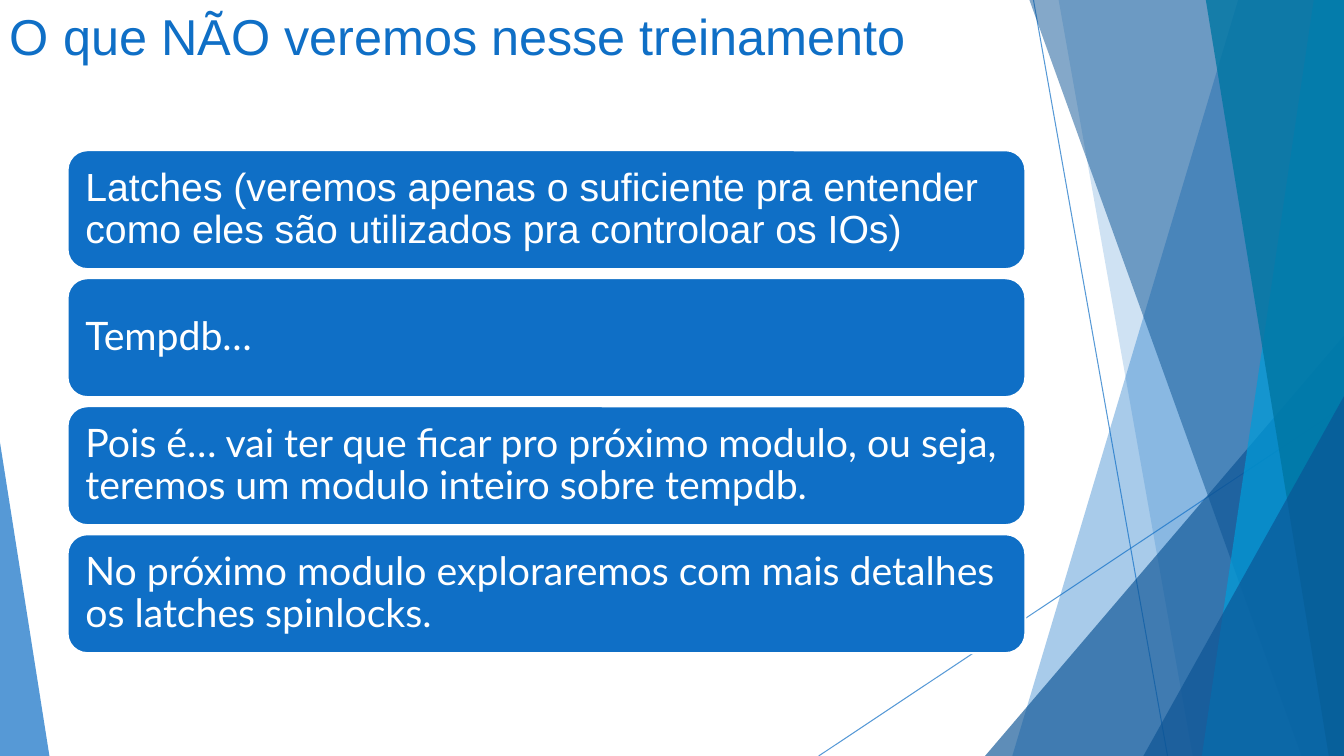
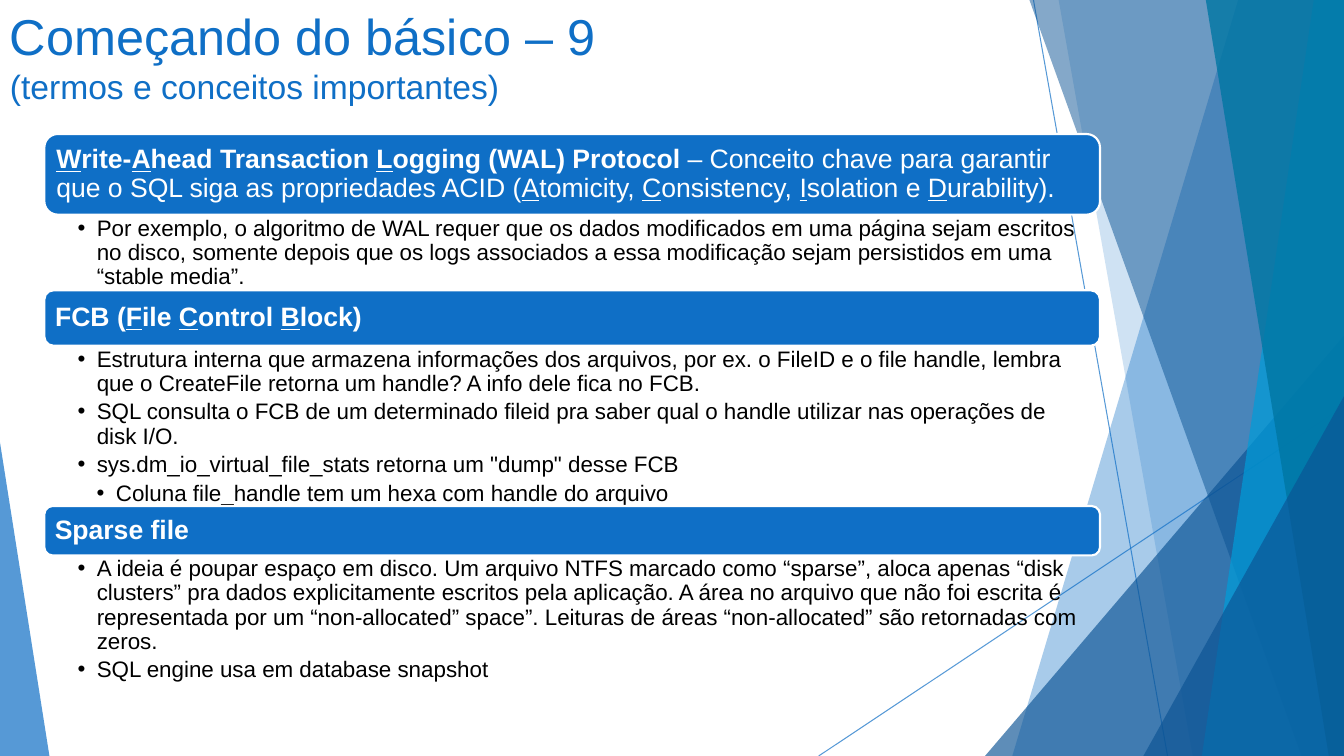
from lxml.etree import SubElement
from pptx import Presentation
from pptx.dml.color import RGBColor
from pptx.enum.shapes import MSO_CONNECTOR, MSO_SHAPE
from pptx.enum.text import MSO_ANCHOR, PP_ALIGN
from pptx.oxml.ns import qn
from pptx.util import Inches, Pt

WIDE, HIGH = 13.33, 7.5
HUES = {"blue": "0F6FC6", "navy": "0B5394", "sky": "009DD9",
        "teal": "0076A3", "white": "FFFFFF", "black": "000000"}

# Text formats
TITLE = {"size": Pt(36), "name": "Arial", "hue": "blue"}
SUB = {**TITLE, "size": Pt(24)}
CARD = {"size": Pt(28), "name": "Lato", "hue": "white"}
HEAD = {"size": Pt(19), "name": "Arial", "hue": "white"}
BODY = {"size": Pt(16), "name": "Arial", "hue": "black"}

# Backdrop, back to front
LINES = [(10.25, 0, 11.58, HIGH), (WIDE, 4.03, 8.12, HIGH)]
PANES = [  # slat: top x, bottom x; wedge: left, top, width, tip
    ("slat", (12.28, 10.04), "blue", 36),
    ("slat", (10.5, 11.83), "blue", 20),
    ("wedge", (9.77, 3.33, 3.56, 1), "navy", 66),
    ("slat", (10.21, 12.91), "navy", 50),
    ("slat", (13.03, 11.92), "sky", 70),
    ("slat", (11.96, 13.18), "teal", 80),
    ("wedge", (11.34, 3.93, 1.99, 1), "navy", 66),
    ("wedge", (0, 4.39, 0.49, 0), "blue", 70),
]

CARDS = [
    ("Latches (veremos apenas o suficiente pra entender como eles são "
     "utilizados pra controloar os IOs)", "Arial"),
    ("Tempdb…", "Lato"),
    ("Pois é… vai ter que ficar pro próximo modulo, ou seja, teremos um "
     "modulo inteiro sobre tempdb.", "Lato"),
    ("No próximo modulo exploraremos com mais detalhes os latches "
     "spinlocks.", "Lato"),
]

# Head height, head (* toggles bold, | toggles underline), body height, items
TERMS = [
    (0.8, "*|W|rite-|A|head Transaction |L|ogging (WAL) Protocol *– Conceito "
     "chave para garantir que o SQL siga as propriedades ACID (|A|tomicity, "
     "|C|onsistency, |I|solation e |D|urability).", 0.75, [
         (1, "Por exemplo, o algoritmo de WAL requer que os dados modificados "
          "em uma página sejam escritos no disco, somente depois que os logs "
          "associados a essa modificação sejam persistidos em uma "
          "“stable media”.")]),
    (0.55, "*FCB (|F|ile |C|ontrol |B|lock)", 1.59, [
        (1, "Estrutura interna que armazena informações dos arquivos, por ex. "
         "o FileID e o file handle, lembra que o CreateFile retorna um "
         "handle? A info dele fica no FCB."),
        (1, "SQL consulta o FCB de um determinado fileid pra saber qual o "
         "handle utilizar nas operações de disk I/O."),
        (1, 'sys.dm_io_virtual_file_stats retorna um "dump" desse FCB'),
        (2, "Coluna file_handle tem um hexa com handle do arquivo")]),
    (0.49, "*Sparse file", 1.25, [
        (1, "A ideia é poupar espaço em disco. Um arquivo NTFS marcado como "
         "“sparse”, aloca apenas “disk clusters” pra dados explicitamente "
         "escritos pela aplicação. A área no arquivo que não foi escrita é "
         "representada por um “non-allocated” space”. Leituras de áreas "
         "“non-allocated” são retornadas com zeros."),
        (1, "SQL engine usa em database snapshot")]),
]


def rgb(hue):
    return RGBColor.from_string(HUES[hue])


def assign(item, **vals):
    for key, val in vals.items():
        setattr(item, key, val)


def fade(part, alpha):
    """Give each colour under part an opacity in percent."""
    for tint in part.iter(qn("a:srgbClr")):
        SubElement(tint, qn("a:alpha"), val=str(alpha * 1000))


def write(para, text, form):
    """Add runs, switching bold at * and underline at |."""
    for i, piece in enumerate(text.split("*")):
        for j, bit in enumerate(piece.split("|")):
            if not bit:
                continue
            run = para.add_run()
            run.text = bit
            run.font.color.rgb = rgb(form["hue"])
            assign(run.font, size=form["size"], name=form["name"],
                   bold=i % 2 == 1, underline=j % 2 == 1)


def text_box(slide, box, pads):
    frame = slide.shapes.add_textbox(*map(Inches, box)).text_frame
    left, top, right, low = map(Inches, pads)
    assign(frame, word_wrap=True, margin_left=left, margin_top=top,
           margin_right=right, margin_bottom=low)
    return frame


def next_para(frame, index):
    return frame.add_paragraph() if index else frame.paragraphs[0]


def backdrop(slide):
    # Thin lines
    for x1, y1, x2, y2 in LINES:
        line = slide.shapes.add_connector(
            MSO_CONNECTOR.STRAIGHT, *map(Inches, (x1, y1, x2, y2)))
        line.line.color.rgb = rgb("blue")
        line.line.width = Pt(0.75)
        props = line.line._get_or_add_ln().getparent()
        fade(props, 70)
        SubElement(props, qn("a:effectLst"))
    # Clear panes
    for kind, dims, hue, alpha in PANES:
        if kind == "slat":
            top, low = dims
            pen = slide.shapes.build_freeform(Inches(top), 0)
            ends = [(WIDE, 0), (WIDE, HIGH), (low, HIGH)]
            pen.add_line_segments([(Inches(x), Inches(y)) for x, y in ends])
            pane = pen.convert_to_shape()
        else:
            left, top, wide, tip = dims
            pane = slide.shapes.add_shape(
                MSO_SHAPE.ISOSCELES_TRIANGLE,
                *map(Inches, (left, top, wide, HIGH - top)))
            pane.adjustments[0] = tip
        pane.shadow.inherit = False
        pane.fill.solid()
        pane.fill.fore_color.rgb = rgb(hue)
        fade(pane.element.spPr, alpha)
        pane.line.fill.background()


def title(slide, box, rows):
    frame = text_box(slide, box, (0.1, 0.05, 0.1, 0.05))
    for i, (text, form) in enumerate(rows):
        write(next_para(frame, i), text, form)


def plate(slide, box, text, form, pad):
    """Rounded blue bar with text in the middle."""
    bar = slide.shapes.add_shape(MSO_SHAPE.ROUNDED_RECTANGLE,
                                 *map(Inches, box))
    bar.shadow.inherit = False
    bar.fill.solid()
    bar.fill.fore_color.rgb = rgb("blue")
    bar.line.color.rgb = rgb("white")
    bar.line.width = Pt(1.5)
    frame = bar.text_frame
    assign(frame, word_wrap=True, vertical_anchor=MSO_ANCHOR.MIDDLE,
           **{f"margin_{side}": Inches(pad)
              for side in ("left", "top", "right", "bottom")})
    para = frame.paragraphs[0]
    assign(para, alignment=PP_ALIGN.LEFT, line_spacing=0.9)
    write(para, text, form)


def bullets(slide, box, items):
    frame = text_box(slide, box, (0.33, 0.02, 0.12, 0.02))
    for i, (level, text) in enumerate(items):
        para = next_para(frame, i)
        assign(para, level=level, line_spacing=0.9, space_after=Pt(3.2))
        props = para._p.get_or_add_pPr()
        props.set("marL", str(Inches(0.19 * level)))
        props.set("indent", str(Inches(-0.19)))
        SubElement(props, qn("a:buFont"), typeface="Arial")
        SubElement(props, qn("a:buChar"), char="•")
        write(para, text, BODY)


def card_list(slide, box):
    """Equal cards with equal gaps."""
    left, top, wide, high = box
    gap = 0.09
    each = (high + gap) / len(CARDS) - gap
    for i, (text, name) in enumerate(CARDS):
        spot = (left, top + i * (each + gap), wide, each)
        plate(slide, spot, text, {**CARD, "name": name}, 0.12)


def term_list(slide, box):
    """Heads and bullets stacked without gaps."""
    left, top, wide = box
    for tall, head, deep, items in TERMS:
        plate(slide, (left, top, wide, tall), head, HEAD, 0.08)
        bullets(slide, (left, top + tall, wide, deep), items)
        top += tall + deep


def main():
    deck = Presentation()
    assign(deck, slide_width=Inches(WIDE), slide_height=Inches(HIGH))
    pages = [
        (1.03, [("O que NÃO veremos nesse treinamento", TITLE)],
         card_list, (0.67, 1.49, 9.5, 4.99)),
        (1.44, [("Começando do básico – 9", TITLE),
                ("(termos e conceitos importantes)", SUB)],
         term_list, (0.44, 1.33, 10.47)),
    ]
    for high, rows, fill, box in pages:
        slide = deck.slides.add_slide(deck.slide_layouts[6])
        backdrop(slide)
        title(slide, (0, 0, 9.4, high), rows)
        fill(slide, box)
    deck.save("out.pptx")


if __name__ == "__main__":
    main()
